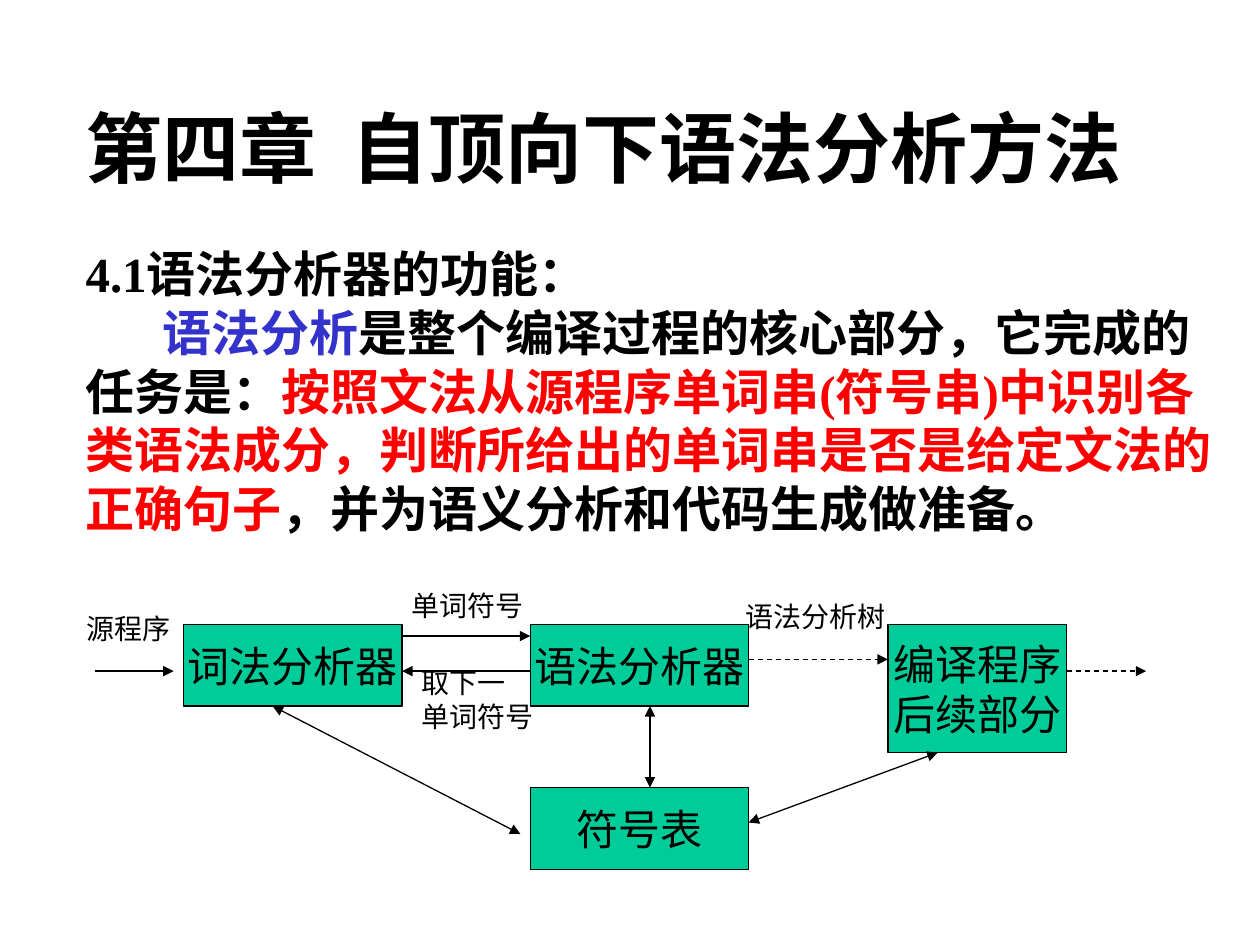
from pptx import Presentation
from pptx.dml.color import RGBColor
from pptx.enum.dml import MSO_LINE
from pptx.enum.shapes import MSO_CONNECTOR, MSO_SHAPE
from pptx.enum.text import MSO_ANCHOR, PP_ALIGN
from pptx.oxml.ns import qn
from pptx.util import Pt
from lxml import etree

RECT = MSO_SHAPE.RECTANGLE
STRAIGHT = MSO_CONNECTOR.STRAIGHT
DASH = MSO_LINE.DASH
MIDDLE = MSO_ANCHOR.MIDDLE
CENTER = PP_ALIGN.CENTER

BLACK = RGBColor(0x00, 0x00, 0x00)
BLUE = RGBColor(0x33, 0x33, 0xCC)
RED = RGBColor(0xFF, 0x00, 0x00)
GREEN = RGBColor(0x00, 0xCC, 0x99)
FONT = "Times New Roman"

# Diagram grid, in points
BOX_W, BOX_H = 124.8, 46.8
LEXER_X, PARSER_X, REST_X = 105, 303, 507.4
REST_W, REST_H = 102.2, 73.4
TOP_Y, TABLE_Y = 356.7, 450
FLOW_Y = 383.5


def style_font(font, size, color=BLACK, bold=False):
    font.name = FONT
    font.size = Pt(size)
    font.color.rgb = color
    font.bold = bold


def add_body(slide, x, y, w, h, paragraphs):
    """Each paragraph is (size, space before, first-line indent, runs)."""
    tf = slide.shapes.add_textbox(Pt(x), Pt(y), Pt(w), Pt(h)).text_frame
    tf.word_wrap = True
    for i, (size, before, indent, runs) in enumerate(paragraphs):
        p = tf.add_paragraph() if i else tf.paragraphs[0]
        p.space_before = Pt(before)
        if indent:
            p._p.get_or_add_pPr().set("indent", str(Pt(indent)))
        for text, color in runs:
            r = p.add_run()
            r.text = text
            style_font(r.font, size, color, bold=True)


def add_box(slide, text, x, y, w=BOX_W, h=BOX_H):
    sp = slide.shapes.add_shape(RECT, Pt(x), Pt(y), Pt(w), Pt(h))
    sp.shadow.inherit = False
    sp.fill.solid()
    sp.fill.fore_color.rgb = GREEN
    sp.line.color.rgb = BLACK
    sp.line.width = Pt(0.75)
    tf = sp.text_frame
    tf.word_wrap = False
    tf.vertical_anchor = MIDDLE
    tf.text = text
    for p in tf.paragraphs:
        p.alignment = CENTER
        style_font(p.runs[0].font, 24)


def add_label(slide, text, x, y, w, h=26.6):
    tf = slide.shapes.add_textbox(Pt(x), Pt(y), Pt(w), Pt(h)).text_frame
    tf.word_wrap = False
    tf.text = text
    for p in tf.paragraphs:
        style_font(p.runs[0].font, 16)


def add_arrow(slide, x1, y1, x2, y2, both=False, dashed=False):
    c = slide.shapes.add_connector(STRAIGHT, Pt(x1), Pt(y1), Pt(x2), Pt(y2))
    c.line.color.rgb = BLACK
    c.line.width = Pt(0.75)
    if dashed:
        c.line.dash_style = DASH
    ln = c.line._get_or_add_ln()
    for end in ("a:headEnd", "a:tailEnd") if both else ("a:tailEnd",):
        etree.SubElement(ln, qn(end)).set("type", "triangle")
    etree.SubElement(c._element.spPr, qn("a:effectLst"))


def main():
    prs = Presentation()
    prs.slide_width, prs.slide_height = Pt(720), Pt(540)
    s = prs.slides.add_slide(prs.slide_layouts[6])

    # Chapter title and explanation
    add_body(s, 41.8, 54, 663.8, 324, [
        (44, 0, 0, [("第四章  自顶向下语法分析方法", BLACK)]),
        (28, 28.8, 0, [("4.1语法分析器的功能：", BLACK)]),
        (28, 0, 44, [
            ("语法分析", BLUE),
            ("是整个编译过程的核心部分，它完成的任务是：", BLACK),
            ("按照文法从源程序单词串(符号串)中识别各类语法成分，"
             "判断所给出的单词串是否是给定文法的正确句子", RED),
            ("，并为语义分析和代码生成做准备。", BLACK),
        ]),
    ])

    # Compiler stages and the symbol table
    add_box(s, "语法分析器", PARSER_X, TOP_Y)
    add_box(s, "词法分析器", LEXER_X, TOP_Y)
    add_box(s, "编译程序\n后续部分", REST_X, TOP_Y, REST_W, REST_H)
    add_box(s, "符号表", PARSER_X, TABLE_Y)

    # Flow between the stages
    lexer_right, parser_right = LEXER_X + BOX_W, PARSER_X + BOX_W
    rest_right, box_bottom = REST_X + REST_W, TOP_Y + BOX_H
    add_arrow(s, 54, FLOW_Y, 99.2, FLOW_Y)
    add_arrow(s, lexer_right, 363.5, PARSER_X, 363.5)
    add_arrow(s, PARSER_X, FLOW_Y, lexer_right, FLOW_Y)
    add_arrow(s, parser_right, 376.8, REST_X, 376.8, dashed=True)
    add_arrow(s, rest_right, FLOW_Y, 655, FLOW_Y, dashed=True)

    # Links to the symbol table
    add_arrow(s, 371.4, box_bottom, 371.4, TABLE_Y, both=True)
    add_arrow(s, 155.8, box_bottom, 297.4, 476.6, both=True)
    add_arrow(s, 535.8, TOP_Y + REST_H, parser_right, 470, both=True)

    # Flow labels
    add_label(s, "源程序", 42.2, 345.9, 66)
    add_label(s, "单词符号", 228.2, 332.6, 80)
    add_label(s, "取下一\n单词符号", 234, 376.8, 80, 46)
    add_label(s, "语法分析树", 419, 339, 96)

    prs.save("out.pptx")


if __name__ == "__main__":
    main()
